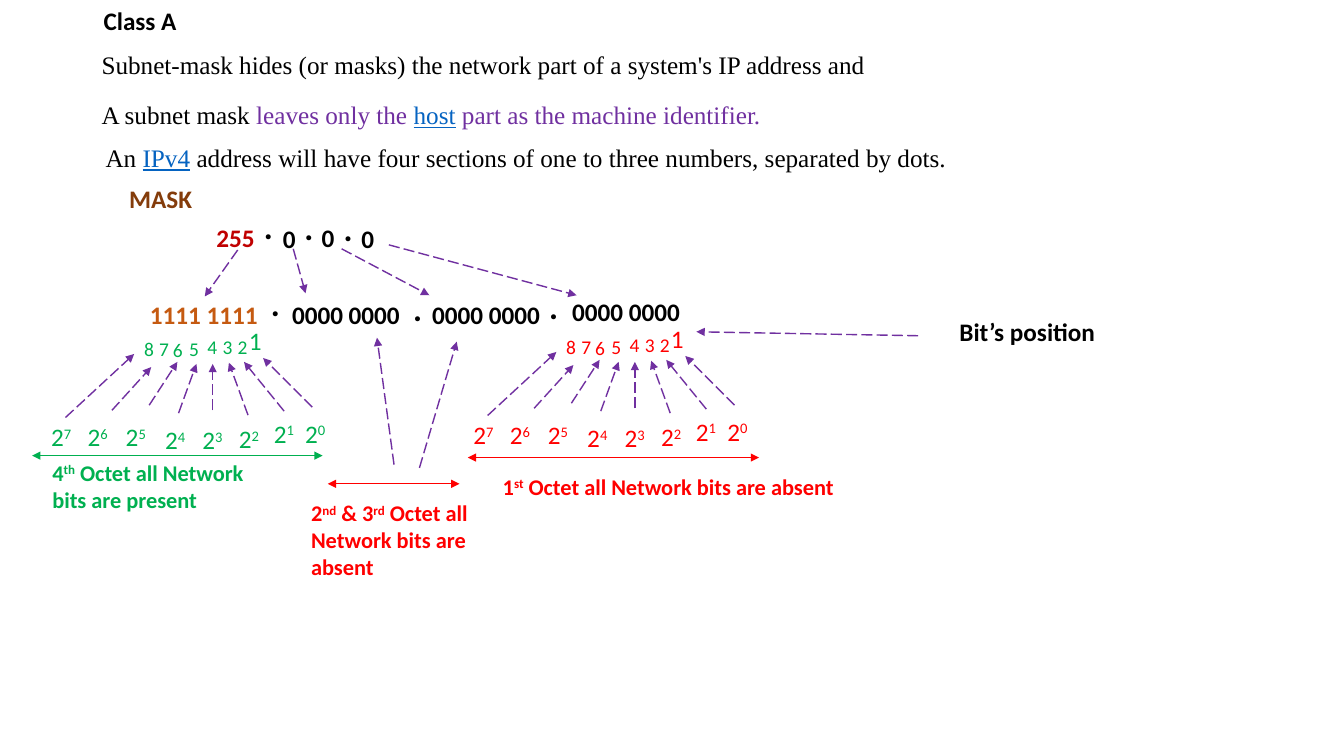
from typing import NamedTuple

from lxml import etree
from pptx import Presentation
from pptx.dml.color import RGBColor
from pptx.enum.dml import MSO_LINE
from pptx.enum.shapes import MSO_CONNECTOR
from pptx.enum.text import MSO_ANCHOR, MSO_AUTO_SIZE, PP_ALIGN
from pptx.oxml.ns import qn
from pptx.slide import Slide
from pptx.util import Cm, Pt

STRAIGHT = MSO_CONNECTOR.STRAIGHT
DASH = MSO_LINE.LONG_DASH
TOP, MIDDLE = MSO_ANCHOR.TOP, MSO_ANCHOR.MIDDLE
LEFT, CENTER = PP_ALIGN.LEFT, PP_ALIGN.CENTER
GROW, FIXED = MSO_AUTO_SIZE.SHAPE_TO_FIT_TEXT, MSO_AUTO_SIZE.NONE

BLACK = RGBColor(0x00, 0x00, 0x00)
PURPLE = RGBColor(0x70, 0x30, 0xA0)
BLUE = RGBColor(0x05, 0x63, 0xC1)
CRIMSON = RGBColor(0xC0, 0x00, 0x00)
BROWN = RGBColor(0x84, 0x3C, 0x0B)
ORANGE = RGBColor(0xC5, 0x5A, 0x11)
RED = RGBColor(0xFF, 0x00, 0x00)
GREEN = RGBColor(0x00, 0xB0, 0x50)

SANS, SERIF = "Calibri", "Times New Roman"


class Run(NamedTuple):
    text: str
    color: RGBColor | None = None
    raised: bool = False
    under: bool = False


class Box(NamedTuple):
    """Left, top, width and height in centimetres."""
    x: float
    y: float
    w: float
    h: float = 1.02


class Line(NamedTuple):
    """Start and end point in centimetres."""
    x1: float
    y1: float
    x2: float
    y2: float


class Bit(NamedTuple):
    """One bit of an octet: its number, its power of two and the arrow between."""
    num: Box
    power: tuple[float, float]
    arrow: Line


BITS = [  # from bit 8 down to bit 1
    Bit(Box(3.38, 8.43, 0.56, 0.94), (1.04, 10.49), Line(1.65, 10.52, 3.38, 8.92)),
    Bit(Box(3.76, 8.43, 0.86, 0.94), (1.96, 10.49), Line(2.82, 10.34, 3.81, 9.25)),
    Bit(Box(4.11, 8.46, 0.56, 0.94), (2.92, 10.49), Line(3.76, 10.21, 4.47, 9.12)),
    Bit(Box(4.52, 8.43, 0.91, 0.94), (3.91, 10.57), Line(4.5, 10.41, 4.95, 9.17)),
    Bit(Box(4.98, 8.38, 0.56, 0.94), (4.85, 10.57), Line(5.36, 10.34, 5.36, 9.17)),
    Bit(Box(5.36, 8.38, 0.86, 0.94), (5.77, 10.54), Line(6.25, 10.46, 5.77, 9.14)),
    Bit(Box(5.74, 8.38, 0.56, 0.94), (6.65, 10.41), Line(7.16, 10.36, 6.15, 9.12)),
    Bit(Box(6.02, 8.08, 0.69), (7.44, 10.41), Line(7.87, 10.26, 6.63, 9.02)),
]

INTRO = [
    (Box(2.31, 1.12, 19.99),
     [Run("Subnet-mask hides (or masks) the network part of a system's IP address and")]),
    (Box(2.31, 2.39, 17.35),
     [Run("A subnet mask "), Run("leaves only the ", PURPLE), Run("host", BLUE, under=True),
      Run(" part as the machine identifier.", PURPLE)]),
    (Box(2.41, 3.45, 28.96),
     [Run("An "), Run("IPv4", BLUE, under=True),
      Run(" address will have four sections of one to three numbers, separated by dots.")]),
]

CENTRED = [
    (Box(5.16, 5.33, 1.55, 1.3), "255", CRIMSON),
    (Box(2.36, 4.65, 3.38, 0.71), "MASK", BROWN),
    (Box(6.86, 5.36, 0.86, 1.3), "0", BLACK),
    (Box(7.72, 5.33, 1.09, 1.3), "0", BLACK),
    (Box(8.71, 5.36, 1.12, 1.3), "0", BLACK),
    (Box(3.4, 7.47, 3.48, 0.79), "1111 1111", ORANGE),
]

ZEROS = [(14.17, 7.34), (7.11, 7.42), (10.64, 7.42)]

DOTS = [(6.4, 5.05), (7.42, 5.08), (8.41, 5.11), (6.58, 7.01), (10.16, 7.14), (13.59, 7.09)]

ARROWS = [
    Line(5.99, 6.3, 5.16, 7.47), Line(7.39, 6.27, 7.7, 7.39),
    Line(8.61, 6.27, 10.82, 7.44), Line(9.8, 6.17, 14.53, 7.44),
    Line(23.14, 8.46, 17.55, 8.36),
    Line(10.57, 11.79, 11.51, 8.61), Line(9.93, 11.71, 9.5, 8.51),
]

SPANS = [
    (Line(0.81, 11.48, 8.13, 11.48), GREEN),
    (Line(8.26, 12.19, 11.58, 12.19), RED),
    (Line(11.79, 11.53, 19.13, 11.53), RED),
]

NOTES = [
    (Box(1.07, 11.43, 5.82, 1.63), GREEN,
     [Run("4"), Run("th", raised=True), Run(" Octet all Network bits are present")]),
    (Box(7.59, 12.45, 5.41, 2.31), RED,
     [Run("2"), Run("nd", raised=True), Run(" & 3"), Run("rd", raised=True),
      Run(" Octet all Network bits are absent")]),
    (Box(12.42, 11.79, 9.5, 0.94), RED,
     [Run("1"), Run("st", raised=True), Run(" Octet all Network bits are absent")]),
]


def write(slide: Slide, box: Box, runs: list[Run], *, size: int = 18, font: str = SANS,
          color: RGBColor = BLACK, bold: bool = False, center: bool = False,
          anchor: MSO_ANCHOR = MIDDLE, space: float = 1.0) -> None:
    """Add a text box; centred boxes keep their height, others fit their text."""
    frame = slide.shapes.add_textbox(*(Cm(v) for v in box)).text_frame
    frame.word_wrap = True
    frame.auto_size = FIXED if center else GROW
    frame.vertical_anchor = anchor
    para = frame.paragraphs[0]
    para.alignment = CENTER if center else LEFT
    para.line_spacing = space
    for part in runs:
        run = para.add_run()
        run.text = part.text
        run.font.name, run.font.size, run.font.bold = font, Pt(size), bold
        run.font.underline = part.under
        run.font.color.rgb = part.color or color
        if part.raised:
            run._r.get_or_add_rPr().set("baseline", "30000")


def draw(slide: Slide, path: Line, color: RGBColor = PURPLE, *, both: bool = False) -> None:
    """Add a dashed arrow, or a thin solid one with two heads."""
    link = slide.shapes.add_connector(STRAIGHT, *(Cm(v) for v in path))
    link.line.color.rgb = color
    link.line.width = Pt(0.5 if both else 1)
    if not both:
        link.line.dash_style = DASH
    props = link._element.spPr
    for end in ("a:headEnd", "a:tailEnd") if both else ("a:tailEnd",):
        etree.SubElement(props.find(qn("a:ln")), qn(end), type="triangle")
    etree.SubElement(props, qn("a:effectLst"))


def octet(slide: Slide, color: RGBColor, dx: float = 0, dy: float = 0) -> None:
    """Draw bit numbers, powers of two and their arrows, shifted by dx and dy."""
    for power, bit in zip(range(7, -1, -1), BITS):
        x, y, w, h = bit.num
        high = power > 0
        write(slide, Box(x + dx, y + dy, w, h), [Run(str(power + 1), raised=high)],
              size=24 if high else 18, color=color)
        x, y = bit.power
        write(slide, Box(x + dx, y + dy, 1.37),
              [Run("2"), Run(str(power), raised=True)], color=color)
        x1, y1, x2, y2 = bit.arrow
        draw(slide, Line(x1 + dx, y1 + dy, x2 + dx, y2 + dy))


def main() -> None:
    deck = Presentation()
    deck.slide_width, deck.slide_height = Cm(33.87), Cm(19.05)
    slide = deck.slides.add_slide(deck.slide_layouts[6])

    write(slide, Box(2.36, 0, 2.44), [Run("Class A")], bold=True, anchor=TOP)
    for box, runs in INTRO:
        write(slide, box, runs, font=SERIF, anchor=TOP)
    for box, text, color in CENTRED:
        write(slide, box, [Run(text)], color=color, bold=True, center=True,
              space=1.15 if color == ORANGE else 1.0)
    for x, y in ZEROS:
        write(slide, Box(x, y, 3.89), [Run("0000 0000")], bold=True)
    for x, y in DOTS:
        write(slide, Box(x, y, 0.76, 1.27), [Run(".")], size=24, bold=True)
    write(slide, Box(23.93, 7.85, 4.42), [Run("Bit’s position")], bold=True)

    for path in ARROWS:
        draw(slide, path)
    octet(slide, GREEN)
    octet(slide, RED, 10.64, -0.05)
    for path, color in SPANS:
        draw(slide, path, color, both=True)
    for box, color, runs in NOTES:
        write(slide, box, runs, size=16, color=color, bold=True)

    deck.save("out.pptx")


if __name__ == "__main__":
    main()
